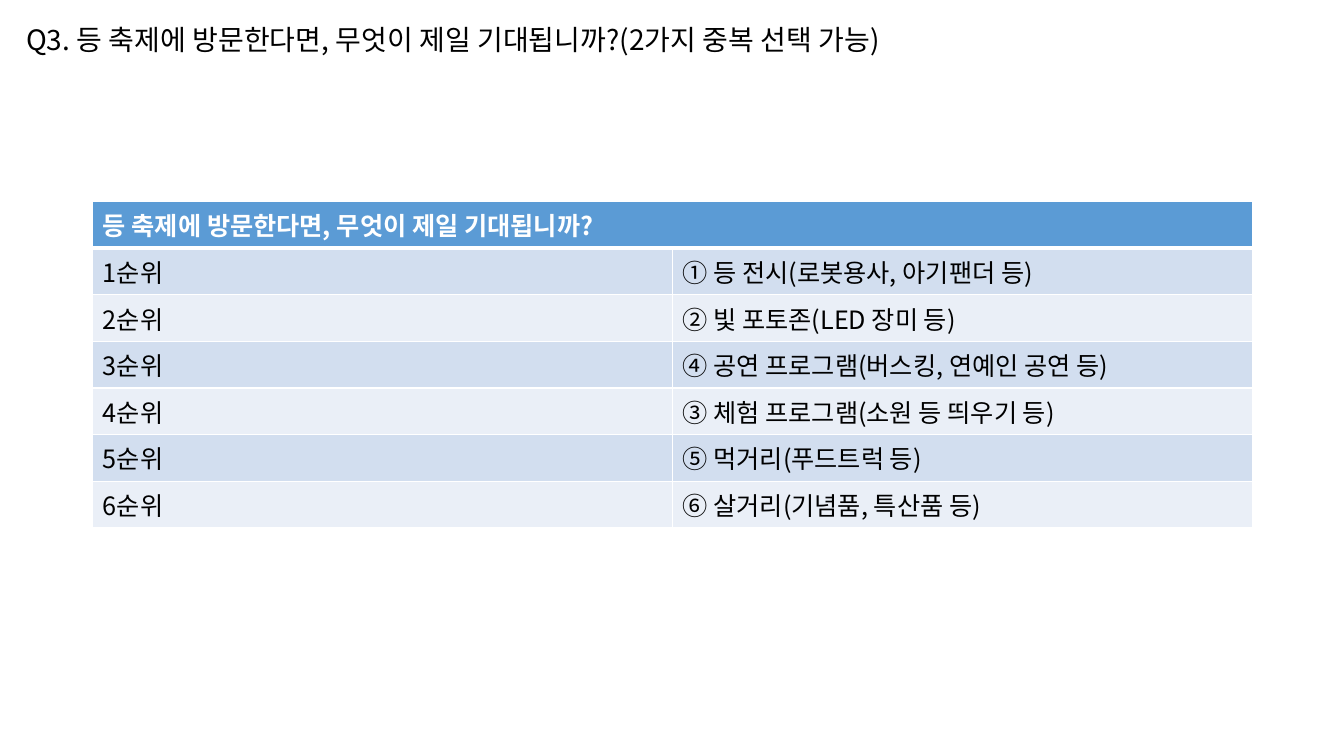
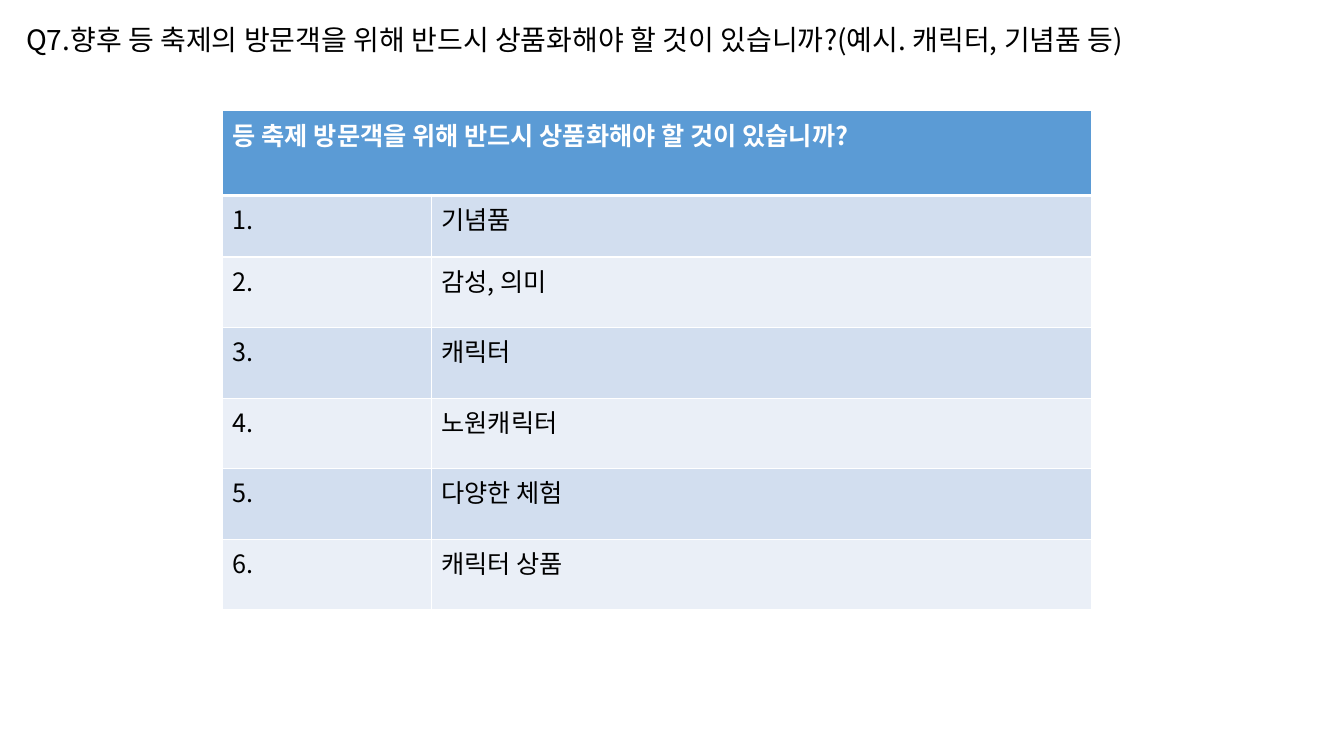
"""Build two survey result slides, each with a question and a ranked table."""
from dataclasses import dataclass

from lxml.etree import SubElement
from pptx import Presentation
from pptx.dml.color import RGBColor
from pptx.enum.text import MSO_ANCHOR, MSO_AUTO_SIZE, PP_ALIGN
from pptx.oxml.ns import qn
from pptx.util import Inches, Pt

FONT = "Noto Sans CJK KR"
BLACK = RGBColor(0x00, 0x00, 0x00)
WHITE = RGBColor(0xFF, 0xFF, 0xFF)
HEADER_BLUE = RGBColor(0x5B, 0x9B, 0xD5)
BANDS = (RGBColor(0xD2, 0xDE, 0xEF), RGBColor(0xEA, 0xEF, 0xF7))
THIN, THICK = Pt(1), Pt(3)
TITLE_ONLY = 5


@dataclass(frozen=True)
class Survey:
    question: str
    heading: str
    answers: tuple[tuple[str, str], ...]
    left: float
    top: float
    column_widths: tuple[float, float]
    row_heights: tuple[float, ...]


SURVEYS = (
    Survey(
        question="Q3. 등 축제에 방문한다면, 무엇이 제일 기대됩니까?(2가지 중복 선택 가능)",
        heading="등 축제에 방문한다면, 무엇이 제일 기대됩니까?",
        answers=(
            ("1순위", "① 등 전시(로봇용사, 아기팬더 등)"),
            ("2순위", "② 빛 포토존(LED 장미 등)"),
            ("3순위", "④ 공연 프로그램(버스킹, 연예인 공연 등)"),
            ("4순위", "③ 체험 프로그램(소원 등 띄우기 등)"),
            ("5순위", "⑤ 먹거리(푸드트럭 등)"),
            ("6순위", "⑥ 살거리(기념품, 특산품 등)"),
        ),
        left=0.92,
        top=2,
        column_widths=(5.75, 5.75),
        row_heights=(0.4,) * 7,
    ),
    Survey(
        question="Q7.향후 등 축제의 방문객을 위해 반드시 상품화해야 할 것이 있습니까?(예시. 캐릭터, 기념품 등)",
        heading="등 축제 방문객을 위해 반드시 상품화해야 할 것이 있습니까?",
        answers=(
            ("1.", "기념품"),
            ("2.", "감성, 의미"),
            ("3.", "캐릭터"),
            ("4.", "노원캐릭터"),
            ("5.", "다양한 체험"),
            ("6.", "캐릭터 상품"),
        ),
        left=2.21,
        top=1.1,
        column_widths=(2.07, 6.55),
        row_heights=(0.84, 0.61) + (0.7,) * 5,
    ),
)


def style_paragraph(paragraph, size: int, color: RGBColor, bold: bool = False) -> None:
    """Set the font of a paragraph for Latin and Korean text."""
    font = paragraph.font
    font.size = Pt(size)
    font.bold = bold
    font.color.rgb = color
    font.name = FONT
    properties = paragraph._p.pPr.find(qn("a:defRPr"))
    SubElement(properties, qn("a:ea")).set("typeface", FONT)


def add_borders(cell, top: int, bottom: int) -> None:
    """Draw white borders around a cell."""
    properties = cell._tc.get_or_add_tcPr()
    for side, width in (("L", THIN), ("R", THIN), ("T", top), ("B", bottom)):
        line = SubElement(properties, qn(f"a:ln{side}"), w=str(int(width)))
        solid = SubElement(line, qn("a:solidFill"))
        SubElement(solid, qn("a:srgbClr"), val=str(WHITE))


def add_question(slide, question: str) -> None:
    """Place the question in the title placeholder."""
    title = slide.shapes.title
    title.left, title.top = Inches(0.16), Inches(0.17)
    title.width, title.height = Inches(12.25), Inches(0.44)
    frame = title.text_frame
    frame.text = question
    frame.word_wrap = True
    frame.auto_size = MSO_AUTO_SIZE.NONE
    frame.vertical_anchor = MSO_ANCHOR.TOP
    paragraph = frame.paragraphs[0]
    paragraph.alignment = PP_ALIGN.LEFT
    paragraph.line_spacing = 1.0
    paragraph.space_before = Pt(0)
    style_paragraph(paragraph, 20, BLACK)


def add_ranking(slide, survey: Survey) -> None:
    """Add the table of ranked answers under a merged heading."""
    rows = ((survey.heading, ""), *survey.answers)
    table = slide.shapes.add_table(
        len(rows), 2, Inches(survey.left), Inches(survey.top),
        Inches(sum(survey.column_widths)), Inches(sum(survey.row_heights)),
    ).table
    for column, width in zip(table.columns, survey.column_widths):
        column.width = Inches(width)
    for row, height in zip(table.rows, survey.row_heights):
        row.height = Inches(height)
    for row_number, texts in enumerate(rows):
        heading = row_number == 0
        for column_number, text in enumerate(texts):
            cell = table.cell(row_number, column_number)
            add_borders(
                cell,
                top=THICK if row_number == 1 else THIN,
                bottom=THICK if heading else THIN,
            )
            cell.fill.solid()
            cell.fill.fore_color.rgb = HEADER_BLUE if heading else BANDS[(row_number - 1) % 2]
            cell.text = text
            style_paragraph(
                cell.text_frame.paragraphs[0], 18, WHITE if heading else BLACK, bold=heading
            )
    table.cell(0, 0).merge(table.cell(0, 1))


def main() -> None:
    """Create and save the presentation."""
    deck = Presentation()
    deck.slide_width, deck.slide_height = Inches(13.33), Inches(7.5)
    for survey in SURVEYS:
        slide = deck.slides.add_slide(deck.slide_layouts[TITLE_ONLY])
        add_question(slide, survey.question)
        add_ranking(slide, survey)
    deck.save("out.pptx")


if __name__ == "__main__":
    main()
